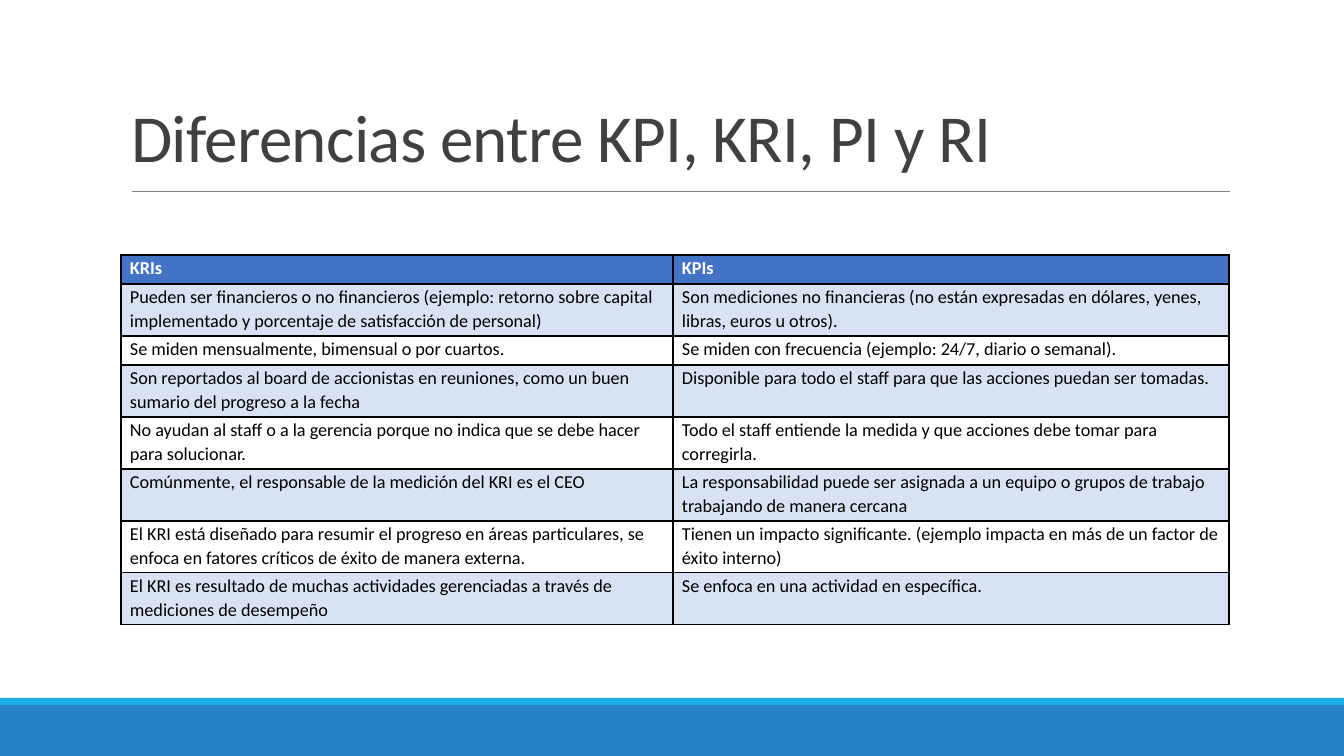
from lxml.etree import SubElement
from pptx import Presentation
from pptx.dml.color import RGBColor
from pptx.enum.shapes import MSO_CONNECTOR, MSO_SHAPE
from pptx.enum.text import MSO_ANCHOR, PP_ALIGN
from pptx.oxml.ns import qn
from pptx.util import Pt

PX = 914400 / 100.8
WIDTH, HEIGHT = 1344, 756
FONT = "Calibri"
ROWS = [
    ("KRIs", "KPIs"),
    ("Pueden ser financieros o no financieros (ejemplo: retorno sobre capital implementado y porcentaje de satisfacción de personal)",
     "Son mediciones no financieras (no están expresadas en dólares, yenes, libras, euros u otros)."),
    ("Se miden mensualmente, bimensual o por cuartos.",
     "Se miden con frecuencia (ejemplo: 24/7, diario o semanal)."),
    ("Son reportados al board de accionistas en reuniones, como un buen sumario del progreso a la fecha",
     "Disponible para todo el staff para que las acciones puedan ser tomadas."),
    ("No ayudan al staff o a la gerencia porque no indica que se debe hacer para solucionar.",
     "Todo el staff entiende la medida y que acciones debe tomar para corregirla."),
    ("Comúnmente, el responsable de la medición del KRI es el CEO",
     "La responsabilidad puede ser asignada a un equipo o grupos de trabajo trabajando de manera cercana"),
    ("El KRI está diseñado para resumir el progreso en áreas particulares, se enfoca en fatores críticos de éxito de manera externa.",
     "Tienen un impacto significante. (ejemplo impacta en más de un factor de éxito interno)"),
    ("El KRI es resultado de muchas actividades gerenciadas a través de mediciones de desempeño",
     "Se enfoca en una actividad en específica."),
]
COLUMN_WIDTHS = (552, 556)
ROW_HEIGHTS = (29, 52, 29, 52, 52, 52, 52, 52)


def px(n):
    return round(n * PX)


def rgb(color):
    return RGBColor.from_string(color)


def style_run(r, size, color, bold=False):
    r.font.name = FONT
    r.font.size = Pt(size)
    r.font.bold = bold
    r.font.color.rgb = rgb(color)


def add_bar(s, x, y, w, h, color):
    sp = s.shapes.add_shape(MSO_SHAPE.RECTANGLE, px(x), px(y), px(w), px(h))
    sp.shadow.inherit = False
    sp.fill.solid()
    sp.fill.fore_color.rgb = rgb(color)
    sp.line.fill.background()


def add_footer(s, x, y, w, h):
    stripe = 7
    add_bar(s, x, y + stripe, w, h - stripe, "2683C6")
    add_bar(s, x, y, w, stripe, "1CADE4")


def add_title(s, x, y, w, h):
    sp = s.shapes.title
    sp.left, sp.top, sp.width, sp.height = px(x), px(y), px(w), px(h)
    tf = sp.text_frame
    tf.text = "Diferencias entre KPI, KRI, PI y RI"
    tf.word_wrap = True
    tf.vertical_anchor = MSO_ANCHOR.BOTTOM
    p = tf.paragraphs[0]
    p.alignment = PP_ALIGN.LEFT
    p.line_spacing = 0.85
    r = p.runs[0]
    style_run(r, 48, "404040")
    r.font._element.set("spc", "-50")
    rule_y = px(y + h + 10)
    rule = s.shapes.add_connector(
        MSO_CONNECTOR.STRAIGHT, px(x + 11), rule_y, px(x + w), rule_y)
    rule.line.color.rgb = rgb("808080")
    rule.line.width = Pt(0.5)
    SubElement(rule._element.spPr, qn("a:effectLst"))


def add_borders(cell, color):
    tcPr = cell._tc.get_or_add_tcPr()
    for i, side in enumerate(("lnL", "lnR", "lnT", "lnB")):
        ln = SubElement(tcPr, qn(f"a:{side}"), w=str(Pt(1)))
        fill = SubElement(ln, qn("a:solidFill"))
        SubElement(fill, qn("a:srgbClr"), val=color)
        tcPr.remove(ln)
        tcPr.insert(i, ln)


def format_cell(cell, text, row):
    header = row == 0
    cell.margin_left = cell.margin_right = px(9)
    cell.margin_top, cell.margin_bottom = px(1), 0
    if row % 2 or header:
        cell.fill.solid()
        cell.fill.fore_color.rgb = rgb("4472C4" if header else "D9E2F3")
    else:
        cell.fill.background()
    add_borders(cell, "000000")
    cell.text_frame.text = text
    p = cell.text_frame.paragraphs[0]
    p.line_spacing = 1.07
    p.space_after = Pt(8)
    style_run(p.runs[0], 13, "FFFFFF" if header else "000000", header)


def add_comparison(s, x, y, w, h):
    table = s.shapes.add_table(
        len(ROWS), len(COLUMN_WIDTHS), px(x), px(y), px(w), px(h)).table
    for column, width in zip(table.columns, COLUMN_WIDTHS):
        column.width = px(width)
    for i, (texts, height) in enumerate(zip(ROWS, ROW_HEIGHTS)):
        table.rows[i].height = px(height)
        for j, text in enumerate(texts):
            format_cell(table.cell(i, j), text, i)


def main():
    prs = Presentation()
    prs.slide_width, prs.slide_height = px(WIDTH), px(HEIGHT)
    s = prs.slides.add_slide(prs.slide_layouts[5])
    add_footer(s, 0, 698, WIDTH, HEIGHT - 698)
    add_title(s, 121, 21, 1109, 160)
    add_comparison(s, 121, 255, sum(COLUMN_WIDTHS), sum(ROW_HEIGHTS))
    prs.save("out.pptx")


if __name__ == "__main__":
    main()
